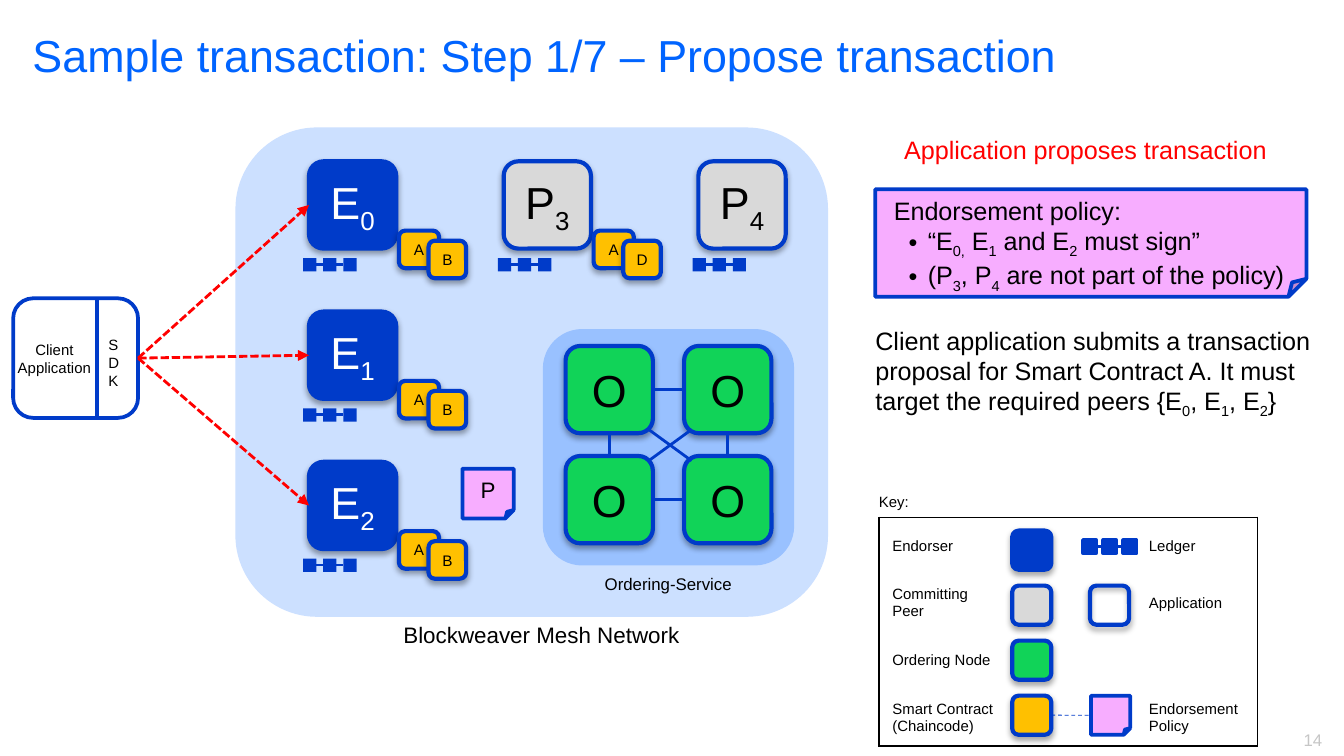
from pptx import Presentation
from pptx.dml.color import RGBColor
from pptx.enum.dml import MSO_LINE
from pptx.enum.shapes import MSO_CONNECTOR, MSO_SHAPE
from pptx.enum.text import MSO_ANCHOR, MSO_AUTO_SIZE, PP_ALIGN
from pptx.oxml import parse_xml
from pptx.oxml.ns import nsdecls, qn
from pptx.util import Cm, Pt

ROUND, RECT, NOTE = MSO_SHAPE.ROUNDED_RECTANGLE, MSO_SHAPE.RECTANGLE, MSO_SHAPE.FOLDED_CORNER
STRAIGHT = MSO_CONNECTOR.STRAIGHT
LEFT, CENTER, RIGHT = PP_ALIGN.LEFT, PP_ALIGN.CENTER, PP_ALIGN.RIGHT
TOP, MIDDLE = MSO_ANCHOR.TOP, MSO_ANCHOR.MIDDLE
DASH, SQUARE_DOT = MSO_LINE.DASH, MSO_LINE.SQUARE_DOT
BLUE, GREY, GREEN, GOLD, PINK = "003BC9", "D9D9D9", "11D358", "FFC000", "F7ADFF"
BLACK, WHITE, RED = "000000", "FFFFFF", "FF0000"

TITLE = "Sample transaction: Step 1/7 – Propose transaction"
BODY = [
    ("Application proposes transaction", RED, CENTER, 0, 0, None),
    ("Endorsement policy:", BLACK, LEFT, 16.5, 0.99, None),
    ("“E|0,| E|1| and E|2| must sign”", BLACK, LEFT, 0, 1.63, "•"),
    ("(P|3|, P|4| are not part of the policy)", BLACK, LEFT, 0, 1.63, "•"),
    ("Client application submits a transaction proposal for Smart Contract A. "
     "It must target the required peers {E|0|, E|1|, E|2|}", BLACK, LEFT, 16.5, 0.64, None),
]
PEERS = [
    ("E|0|", 0, 0, BLUE, WHITE, "AB"),
    ("E|1|", 0, 1, BLUE, WHITE, "AB"),
    ("E|2|", 0, 2, BLUE, WHITE, "AB"),
    ("P|3|", 1, 0, GREY, BLACK, "AD"),
    ("P|4|", 2, 0, GREY, BLACK, ""),
]
LABELS = [
    (["Key:"], 16.36, 9.19, 1.07, 0.61, 8, BLACK, LEFT),
    (["Blockweaver Mesh Network"], 7.11, 11.61, 6.25, 0.76, 12, BLACK, CENTER),
    (["Ordering-Service"], 11.18, 10.72, 2.97, 0.64, 9, BLACK, LEFT),
    (["14"], 23.77, 13.67, 1.47, 0.64, 9, "C6C6C6", RIGHT),
]
KEY = [
    (["Endorser"], ["Ledger"], BLUE),
    (["Committing Peer"], ["Application"], GREY),
    (["Ordering Node"], [], GREEN),
    (["Smart Contract", "(Chaincode)"], ["Endorsement Policy"], GOLD),
]
KEY_COLS = [2.51, 1.07, 1.27, 2.31]
PEER = 1.65
SHADOW = ('<a:outerShdw %s blurRad="40000" dist="23000" dir="5400000" rotWithShape="0">'
          '<a:srgbClr val="000000"><a:alpha val="35000"/></a:srgbClr></a:outerShdw>')
BORDER = '<a:solidFill><a:srgbClr val="000000"/></a:solidFill>'


def rgb(value):
    return RGBColor.from_string(value)


def add_runs(p, text, size, color, align=LEFT):
    p.alignment = align
    for i, part in enumerate(text.split("|")):
        if part:
            r = p.add_run()
            r.text = part
            r.font.size, r.font.name = Pt(size), "Arial"
            r.font.color.rgb = rgb(color)
            if i % 2:
                r._r.get_or_add_rPr().set("baseline", "-25000")


def fill_text(tf, lines, size, color, align=LEFT):
    for i, line in enumerate(lines):
        p = tf.add_paragraph() if i else tf.paragraphs[0]
        add_runs(p, line, size, color, align)


def add_box(shapes, kind, x, y, w, h, fill=None, line=None, width=2.25,
            text="", size=24, color=BLACK, shadow=False):
    sp = shapes.add_shape(kind, Cm(x), Cm(y), Cm(w), Cm(h))
    sp.shadow.inherit = False
    if shadow:
        sp.element.spPr.find(qn("a:effectLst")).append(parse_xml(SHADOW % nsdecls("a")))
    if fill:
        sp.fill.solid()
        sp.fill.fore_color.rgb = rgb(fill)
    else:
        sp.fill.background()
    if line:
        sp.line.color.rgb = rgb(line)
        sp.line.width = Pt(width)
    else:
        sp.line.fill.background()
    if text:
        tf = sp.text_frame
        tf.margin_left = tf.margin_right = tf.margin_top = tf.margin_bottom = 0
        tf.vertical_anchor = MIDDLE
        fill_text(tf, [text], size, color, CENTER)
    return sp


def add_label(shapes, lines, x, y, w, h, size, color, align):
    tf = shapes.add_textbox(Cm(x), Cm(y), Cm(w), Cm(h)).text_frame
    tf.word_wrap = True
    fill_text(tf, lines, size, color, align)


def add_line(shapes, x1=0, y1=0, x2=0, y2=0, color=BLUE, width=1.5, dash=None,
             begin=None, end=None, arrow=False):
    cx = shapes.add_connector(STRAIGHT, Cm(x1), Cm(y1), Cm(x2), Cm(y2))
    if begin:
        cx.begin_connect(*begin)
        cx.end_connect(*end)
    cx.line.color.rgb = rgb(color)
    cx.line.width = Pt(width)
    if dash:
        cx.line.dash_style = dash
    if arrow:
        cx.line._get_or_add_ln().append(parse_xml('<a:tailEnd %s type="triangle"/>' % nsdecls("a")))
    cx.element.spPr.append(parse_xml("<a:effectLst %s/>" % nsdecls("a")))


def add_ledger(shapes, x, y, line=None):
    ledger = shapes.add_group_shape().shapes
    for i in range(3):
        add_box(ledger, RECT, x + 0.38 * i, y, 0.25, 0.25, BLUE, line, 2)
    add_line(ledger, x + 0.25, y + 0.12, x + 0.76, y + 0.12)


prs = Presentation()
prs.slide_width, prs.slide_height = Cm(25.4), Cm(14.29)
s = prs.slides.add_slide(prs.slide_layouts[1])
shapes = s.shapes

title, body = s.placeholders
for sp, (x, y, w, h) in ((title, (0.36, 0.39, 21.59, 2.82)), (body, (15.65, 2.41, 9.73, 6.02))):
    sp.left, sp.top, sp.width, sp.height = Cm(x), Cm(y), Cm(w), Cm(h)
    sp.text_frame.auto_size = MSO_AUTO_SIZE.NONE
    sp.text_frame.vertical_anchor = TOP
    sp.text_frame.word_wrap = True
fill_text(title.text_frame, [TITLE], 24, "0064FF")

add_box(shapes, NOTE, 16.54, 3.58, 8.15, 2.03, PINK, BLUE, 2)
body.element.getparent().append(body.element)
for i, (text, color, align, before, margin, bullet) in enumerate(BODY):
    p = body.text_frame.add_paragraph() if i else body.text_frame.paragraphs[0]
    add_runs(p, text, 13.5, color, align)
    p.space_before, p.line_spacing = Pt(before), 1.0
    pPr = p._p.get_or_add_pPr()
    pPr.set("marL", str(Cm(margin)))
    pPr.set("indent", str(Cm(-0.36 if bullet else 0)))
    mark = f'buChar char="{bullet}"' if bullet else "buNone"
    pPr.append(parse_xml("<a:%s %s/>" % (mark, nsdecls("a"))))

add_box(shapes, ROUND, 4.45, 2.41, 11.2, 9.25, "CCE0FF")
client = shapes.add_group_shape().shapes
app = add_box(client, ROUND, 0.25, 5.64, 2.36, 2.26, None, BLUE, 2)
add_line(client, 1.83, 5.64, 1.83, 7.9, width=2.25)
add_label(client, ["Client", "Application"], 0, 6.32, 2.06, 0.94, 8, BLACK, CENTER)
add_label(client, ["SDK"], 1.8, 6.22, 0.76, 1.27, 8, BLACK, LEFT)

for name, col, row, fill, color, contracts in PEERS:
    x, y = 5.84 + 3.68 * col, 3.05 + 2.84 * row
    peer = add_box(shapes, ROUND, x, y, PEER, PEER, fill, BLUE, text=name, color=color, shadow=True)
    if fill == BLUE:
        add_line(shapes, color=RED, dash=SQUARE_DOT, begin=(app, 3), end=(peer, 1), arrow=True)
    for i, letter in enumerate(contracts):
        add_box(shapes, ROUND, x + 1.7 + 0.56 * i, y + 1.31 + 0.19 * i, 0.76 - 0.05 * i, 0.71,
                GOLD, BLUE, text=letter, size=8.2, shadow=True)
    add_ledger(shapes, x - 0.11, y + 1.83)

ordering = shapes.add_group_shape().shapes
add_box(ordering, ROUND, 10.26, 6.22, 4.75, 4.47, "99C1FF")
xs, ys = (10.69, 12.93), (6.54, 8.62)
tl, tr, bl, br = [add_box(ordering, ROUND, x, y, PEER, PEER, GREEN, BLUE, text="O", shadow=True)
                  for y in ys for x in xs]
for a, b, out, into in ((tl, tr, 3, 1), (bl, br, 3, 1), (tl, bl, 2, 0), (tr, br, 2, 0)):
    add_line(ordering, begin=(a, out), end=(b, into))
x1, x2, y1, y2 = xs[0] + PEER - 0.08, xs[1] + 0.14, ys[0] + PEER - 0.07, ys[1] + 0.09
add_line(ordering, x1, y1, x2, y2)
add_line(ordering, x1, y2, x2, y1)
add_box(shapes, NOTE, 8.74, 8.86, 0.97, 0.94, PINK, BLUE, 2, "P", 12)

table = shapes.add_table(4, 4, Cm(16.61), Cm(9.78), Cm(sum(KEY_COLS)), Cm(4.32)).table
table.first_row = table.horz_banding = False
for col, width in zip(table.columns, KEY_COLS):
    col.width = Cm(width)
for row, (left, right, _) in enumerate(KEY):
    for col, lines in enumerate((left, [], [], right)):
        cell = table.cell(row, col)
        cell.vertical_anchor = MIDDLE
        fill_text(cell.text_frame, lines, 8, BLACK)
        edges = (("L", col == 0), ("R", col == 3), ("T", row == 0), ("B", row == 3))
        for side, outer in edges:
            cell._tc.get_or_add_tcPr().append(parse_xml(
                '<a:ln%s %s w="12700">%s</a:ln%s>'
                % (side, nsdecls("a"), BORDER if outer else "<a:noFill/>", side)))
        cell.fill.background()

key = shapes.add_group_shape().shapes
icons = [add_box(key, ROUND, 19.13, 10.03 + 1.04 * i, 0.74, 0.74, fill, BLUE, shadow=True)
         for i, (_, _, fill) in enumerate(KEY)]
add_box(key, ROUND, 20.6, 11.07, 0.74, 0.74, None, BLUE, shadow=True)
policy = add_box(key, NOTE, 20.62, 13.15, 0.74, 0.74, PINK, BLUE, 2)
add_line(key, width=0.5, dash=DASH, begin=(icons[3], 3), end=(policy, 1))
add_ledger(key, 20.47, 10.21, BLUE)

for label in LABELS:
    add_label(shapes, *label)

prs.save("out.pptx")
